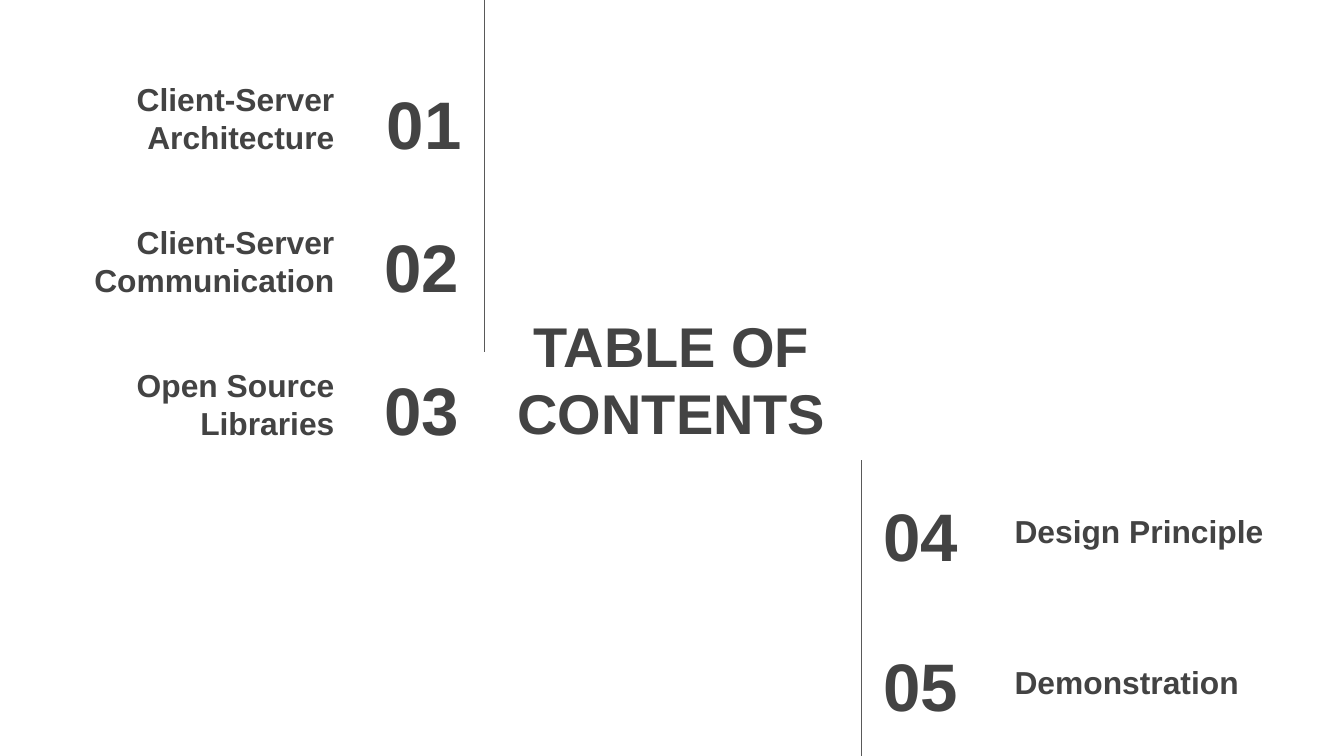
"""Build a table of contents slide with numbered topics on both sides of a title."""
from lxml.etree import SubElement
from pptx import Presentation
from pptx.dml.color import RGBColor
from pptx.enum.shapes import MSO_CONNECTOR as Connector
from pptx.enum.text import MSO_ANCHOR as Anchor, PP_ALIGN as Align
from pptx.oxml.ns import qn
from pptx.util import Emu, Pt

PX = 5715
WIDTH, HEIGHT = 1600, 900
WHITE = RGBColor(0xFF, 0xFF, 0xFF)
INK = RGBColor(0x43, 0x43, 0x43)
RULE = RGBColor(0x59, 0x59, 0x59)

LEFT_TOPICS = [
    ("01", 371, "Client-Server Architecture"),
    ("02", 368, "Client-Server Communication"),
    ("03", 368, "Open Source Libraries"),
]
RIGHT_TOPICS = [("04", "Design Principle"), ("05", "Demonstration")]
LEFT_STEP, RIGHT_STEP = 170, 179
ROW_HEIGHT, LABEL_WIDTH = 101, 346


def px(length):
    """Turn px into EMU."""
    return Emu(length * PX)


def write(frame, text, *, size, font, color, align, anchor):
    """Put one bold paragraph into a text frame."""
    frame.word_wrap = True
    frame.vertical_anchor = anchor
    frame.margin_left = frame.margin_right = px(16)
    frame.margin_top = frame.margin_bottom = px(16)
    paragraph = frame.paragraphs[0]
    paragraph.alignment = align
    run = paragraph.add_run()
    run.text = text
    run.font.size = Pt(size)
    run.font.name = font
    run.font.bold = True
    run.font.color.rgb = color


class ContentsSlide:
    """Hold the style and the current slide."""

    font = "Arial"
    title_size, number_size, label_size = 30, 36, 17

    def __init__(self, slide):
        """Start on a white background."""
        self.slide = slide
        fill = slide.background.fill
        fill.solid()
        fill.fore_color.rgb = WHITE

    def text(self, text, left, top, width, height, size, align, anchor=Anchor.MIDDLE):
        """Add a text box in the slide's style."""
        box = self.slide.shapes.add_textbox(px(left), px(top), px(width), px(height))
        write(box.text_frame, text, size=size, font=self.font, color=INK,
              align=align, anchor=anchor)

    def title(self, text, left, top, width, height):
        """Add the centred title."""
        self.text(text, left, top, width, height, self.title_size, Align.CENTER)

    def number(self, text, left, top, width, align):
        """Add a large topic number."""
        self.text(text, left, top, width, ROW_HEIGHT, self.number_size, align)

    def label(self, text, left, top, align):
        """Add a topic name."""
        self.text(text, left, top, LABEL_WIDTH, ROW_HEIGHT, self.label_size,
                  align, Anchor.BOTTOM)

    def vertical_rule(self, x, top, bottom):
        """Add a thin vertical line."""
        line = self.slide.shapes.add_connector(
            Connector.STRAIGHT, px(x), px(top), px(x), px(bottom))
        line.line.color.rgb = RULE
        line.line.width = Pt(0.75)
        SubElement(line._element.spPr, qn("a:effectLst"))


def main():
    """Build and save the presentation."""
    presentation = Presentation()
    presentation.slide_width, presentation.slide_height = px(WIDTH), px(HEIGHT)
    contents = ContentsSlide(presentation.slides.add_slide(presentation.slide_layouts[6]))

    contents.title("TABLE OF CONTENTS", 592, 368, 415, 165)
    contents.vertical_rule(577, 0, 419)
    contents.vertical_rule(1026, 548, 902)
    for row, (number, left, label) in enumerate(LEFT_TOPICS):
        offset = row * LEFT_STEP
        contents.label(label, 68, 101 + offset, Align.RIGHT)
        contents.number(number, left, 96 + offset, 194, Align.RIGHT)
    for row, (number, label) in enumerate(RIGHT_TOPICS):
        offset = row * RIGHT_STEP
        contents.number(number, 1036, 586 + offset, 187, Align.LEFT)
        contents.label(label, 1192, 570 + offset, Align.LEFT)

    presentation.save("out.pptx")


if __name__ == "__main__":
    main()
